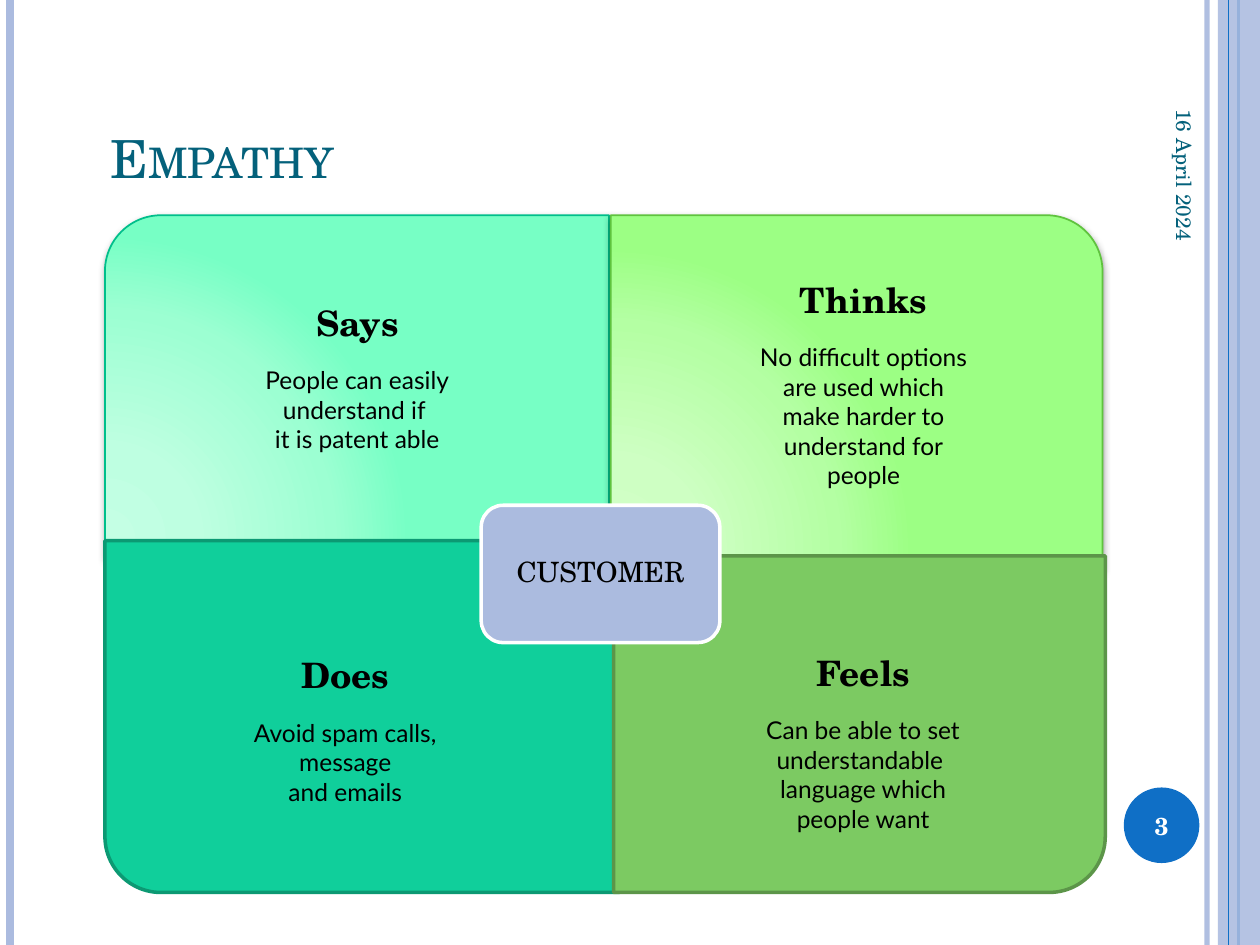
from dataclasses import dataclass
from typing import Optional

from lxml import etree
from pptx import Presentation
from pptx import util as u
from pptx.dml import color as dml
from pptx.enum import shapes as sh, text as tx
from pptx.oxml import ns

Pt = u.Pt
Box = tuple[float, float, float, float]


@dataclass(frozen=True)
class Theme:
    serif: str = "TeX Gyre Schola"
    sans: str = "Lato"
    ink: str = "000000"
    white: str = "FFFFFF"
    teal: str = "04617B"
    blue: str = "0F6FC6"
    mist: str = "ABBBDF"
    title: float = 30
    head: float = 20
    hub: float = 16
    body: float = 14
    date: float = 12


@dataclass(frozen=True)
class Rule:
    x: float
    color: str
    width: float
    alpha: int = 100


@dataclass(frozen=True)
class Card:
    box: Box
    line: str
    width: float
    flips: tuple[str, ...] = ()
    fill: Optional[str] = None
    glow: tuple[str, ...] = ()


@dataclass(frozen=True)
class Note:
    box: Box
    head: str
    body: tuple[str, ...]


T = Theme()
CORNER = 32
RULES_BACK = (Rule(689.8, T.mist, 3, 93), Rule(5.8, T.mist, 4.5), Rule(707.8, T.blue, 1.5))
RULE_FRONT = Rule(702, T.blue, 0.75)

CARDS = (
    Card((60, 123, 288, 194.7), "00BF8B", 1, ("flipH",),
         glow=("C4FFE4", "BEFFE1", "9CFFD2", "77FFC5")),
    Card((349, 123, 281, 201), "5FC33E", 1,
         glow=("D2FFC8", "CEFFC3", "B4FFA3", "9CFF84")),
    Card((60, 309, 294, 201), "0C9973", 2, ("flipH", "flipV"), fill="10CF9B"),
    Card((350.6, 317.7, 281, 192.3), "5C9549", 2, ("flipV",), fill="7CCA62"),
)

NOTES = (
    Note((386, 155.5, 215, 129), "Thinks",
         ("No difficult options", "are used which", "make harder to",
          "understand for", "people")),
    Note((85.7, 168.5, 237, 95), "Says",
         ("People can easily", "understand if ", "it is patent able")),
    Note((82.8, 370, 229, 95), "Does",
         ("Avoid spam calls,", "message", "and emails")),
    Note((378.7, 368.6, 229, 112), "Feels",
         ("Can be able to set", "understandable ", "language which", "people want")),
)


def rgb(code: str) -> dml.RGBColor:
    return dml.RGBColor.from_string(code)


def node(top, tag: str, **attrs):
    return etree.SubElement(top, ns.qn(tag), {k: str(v) for k, v in attrs.items()})


def fade(top, alpha: int) -> None:
    for clr in top.iter(ns.qn("a:srgbClr")):
        node(clr, "a:alpha", val=alpha * 1000)


def add_rule(slide, rule: Rule) -> None:
    line = slide.shapes.add_connector(
        sh.MSO_CONNECTOR.STRAIGHT, Pt(rule.x), Pt(0), Pt(rule.x), Pt(540))
    line.line.color.rgb = rgb(rule.color)
    line.line.width = Pt(rule.width)
    part = line.element.spPr
    if rule.alpha < 100:
        fade(part, rule.alpha)
    node(part, "a:effectLst")


def add_form(slide, kind, box: Box, fill: Optional[str] = None,
             line: Optional[str] = None, width: float = 0):
    form = slide.shapes.add_shape(kind, *map(Pt, box))
    form.shadow.inherit = False
    if fill:
        form.fill.solid()
        form.fill.fore_color.rgb = rgb(fill)
    if line:
        form.line.color.rgb = rgb(line)
        form.line.width = Pt(width)
    else:
        form.line.fill.background()
    return form


def add_glow(form, stops: tuple[str, ...]) -> None:
    part = form.element.spPr
    grad = etree.Element(ns.qn("a:gradFill"), rotWithShape="1")
    row = node(grad, "a:gsLst")
    for pos, code in zip((0, 30, 75, 100), stops):
        node(node(row, "a:gs", pos=pos * 1000), "a:srgbClr", val=code)
    way = node(grad, "a:path", path="circle")
    node(way, "a:fillToRect", l=5000, t=100000, r=120000, b=10000)
    part.insert(2, grad)
    cast = node(part.find(ns.qn("a:effectLst")), "a:outerShdw",
                blurRad=Pt(4), dist=Pt(2), dir=5400000, rotWithShape=0)
    node(node(cast, "a:srgbClr", val=T.ink), "a:alpha", val=40000)


def add_card(slide, card: Card) -> None:
    form = add_form(slide, sh.MSO_SHAPE.ROUND_1_RECTANGLE, card.box,
                    card.fill, card.line, card.width)
    form.adjustments[0] = CORNER / min(card.box[2:])
    for flip in card.flips:
        form.element.spPr.xfrm.set(flip, "1")
    if card.glow:
        add_glow(form, card.glow)


def put(para, words: str, size: float, color: str = T.ink, face: str = T.serif,
        bold: bool = False, align=tx.PP_ALIGN.CENTER) -> None:
    para.text = words
    para.alignment = align
    font = para.font
    font.name, font.size, font.bold = face, Pt(size), bold
    font.color.rgb = rgb(color)


def add_text(slide, box: Box, anchor=tx.MSO_ANCHOR.TOP):
    form = slide.shapes.add_textbox(*map(Pt, box))
    form.text_frame.word_wrap = True
    form.text_frame.vertical_anchor = anchor
    return form


def add_note(slide, note: Note) -> None:
    frame = add_text(slide, note.box).text_frame
    put(frame.paragraphs[0], note.head, T.head, bold=True)
    for i, words in enumerate(note.body):
        para = frame.add_paragraph()
        put(para, words, T.body, face=T.sans)
        if i == 0:
            para.space_before = Pt(12.6)


def add_frame(slide) -> None:
    for rule in RULES_BACK:
        add_rule(slide, rule)
    band = add_form(slide, sh.MSO_SHAPE.RECTANGLE, (696, 0, 24, 540), T.mist)
    fade(band.element.spPr, 87)
    add_rule(slide, RULE_FRONT)

    badge = add_form(slide, sh.MSO_SHAPE.OVAL, (642.2, 450, 43.2, 43.2), T.blue)
    put(badge.text_frame.paragraphs[0], "3", T.body, T.white, bold=True)

    title = add_text(slide, (36, 21.6, 588, 90), tx.MSO_ANCHOR.BOTTOM)
    para = title.text_frame.paragraphs[0]
    para._p.get_or_add_pPr().set("marL", str(Pt(20)))
    put(para, "Empathy", T.title, T.teal, align=tx.PP_ALIGN.LEFT)
    para.runs[0].font._element.set("cap", "small")

    date = add_text(slide, (597.6, 85, 158.4, 30), tx.MSO_ANCHOR.MIDDLE)
    date.rotation = 90
    put(date.text_frame.paragraphs[0], "16 April 2024", T.date, T.teal)


def add_hub(slide) -> None:
    hub = add_form(slide, sh.MSO_SHAPE.ROUNDED_RECTANGLE, (275, 288.7, 136.4, 78.5),
                   T.mist, T.white, 2)
    hub.adjustments[0] = 0.16
    para = hub.text_frame.paragraphs[0]
    put(para, "CUSTOMER", T.hub)
    para.line_spacing = 0.9


def main() -> None:
    deck = Presentation()
    deck.slide_width, deck.slide_height = Pt(720), Pt(540)
    slide = deck.slides.add_slide(deck.slide_layouts[6])
    add_frame(slide)
    for card in CARDS:
        add_card(slide, card)
    add_hub(slide)
    for note in NOTES:
        add_note(slide, note)
    deck.save("out.pptx")


if __name__ == "__main__":
    main()
